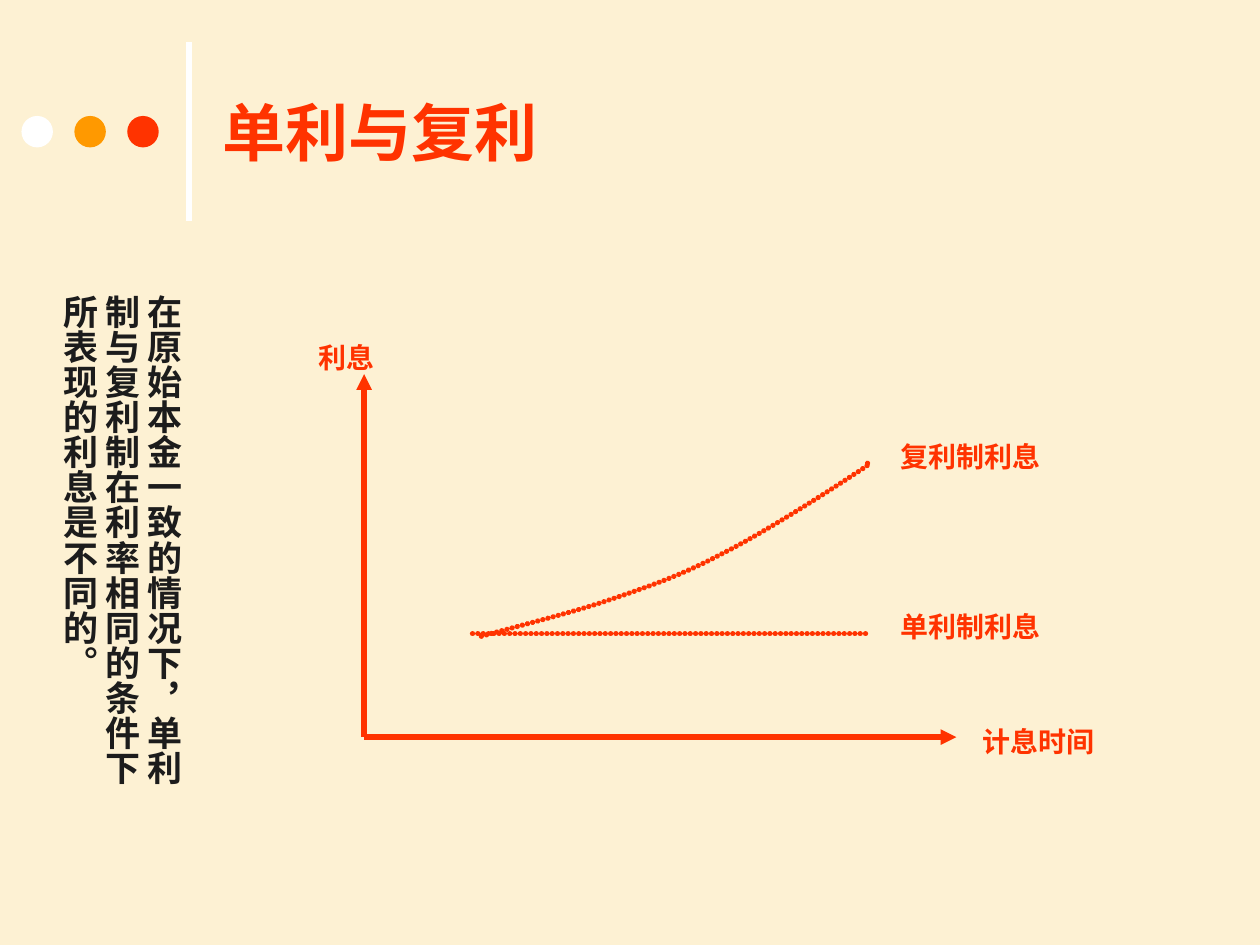
from dataclasses import dataclass

from lxml import etree
from pptx import Presentation
from pptx.dml.color import RGBColor
from pptx.enum.shapes import MSO_CONNECTOR, MSO_SHAPE
from pptx.enum.text import MSO_ANCHOR
from pptx.oxml.ns import qn
from pptx.util import Inches, Pt

STRAIGHT = MSO_CONNECTOR.STRAIGHT
OVAL = MSO_SHAPE.OVAL
MIDDLE = MSO_ANCHOR.MIDDLE
TOP = MSO_ANCHOR.TOP

Point = tuple[float, float]


@dataclass(frozen=True)
class Theme:
    background: RGBColor = RGBColor(0xFD, 0xF1, 0xD3)
    white: RGBColor = RGBColor(0xFF, 0xFF, 0xFF)
    orange: RGBColor = RGBColor(0xFF, 0x99, 0x00)
    red: RGBColor = RGBColor(0xFF, 0x33, 0x00)
    ink: RGBColor = RGBColor(0x1C, 0x1C, 0x1C)
    font: str = "Arial"
    title_size: int = 36
    body_size: int = 20
    label_size: int = 16
    line_width: int = 3


@dataclass(frozen=True)
class TextBlock:
    text: str
    left: float
    top: float
    width: float
    height: float
    size: int
    color: RGBColor
    wrap: bool = False
    vertical: bool = False
    anchor: MSO_ANCHOR = TOP


THEME = Theme()
ORIGIN = (2.89, 5.85)
AXIS_ENDS = ((7.59, 5.85), (2.89, 2.97))
SIMPLE_INTEREST = ((3.75, 5.03), (6.87, 5.03))
COMPOUND_START = (3.82, 5.05)
COMPOUND_CURVES = (
    ((4.18, 4.95), (4.55, 4.86), (4.87, 4.75)),
    ((5.19, 4.64), (5.42, 4.56), (5.74, 4.39)),
    ((6.06, 4.23), (6.59, 3.89), (6.77, 3.77)),
    ((6.96, 3.65), (6.9, 3.67), (6.85, 3.69)),
)
CURVE_STEPS = 16


def label(text: str, left: float, top: float, width: float) -> TextBlock:
    return TextBlock(text, left, top, width, 0.37, THEME.label_size, THEME.red)


TEXT_BLOCKS = (
    TextBlock("单利与复利", 1.67, 0.21, 7.67, 1.67, THEME.title_size, THEME.red,
              wrap=True, anchor=MIDDLE),
    label("计息时间", 7.7, 5.7, 1.09),
    label("复利制利息", 7.05, 3.44, 1.31),
    label("单利制利息", 7.05, 4.79, 1.31),
    label("利息", 2.43, 2.65, 0.64),
    TextBlock("在原始本金一致的情况下，单利制与复利制在利率相同的条件下所表现的利息是不同的。",
              0.32, 2.24, 1.2, 4.3, THEME.body_size, THEME.ink,
              wrap=True, vertical=True),
)


def add_line(slide, start: Point, end: Point, color: RGBColor):
    x1, y1, x2, y2 = (Inches(value) for value in (*start, *end))
    connector = slide.shapes.add_connector(STRAIGHT, x1, y1, x2, y2)
    connector.line.color.rgb = color
    connector.line.width = Pt(THEME.line_width)
    etree.SubElement(connector._element.spPr, qn("a:effectLst"))
    return connector


def add_arrowhead(connector) -> None:
    line = connector.line._get_or_add_ln()
    etree.SubElement(line, qn("a:tailEnd"), type="triangle")


def make_dotted(shape) -> None:
    """Draw the outline as round dots that almost touch."""
    line = shape.line._get_or_add_ln()
    line.set("cap", "rnd")
    dash = etree.Element(qn("a:custDash"))
    etree.SubElement(dash, qn("a:ds"), d="100000", sp="1000")
    line.find(qn("a:solidFill")).addnext(dash)


def add_dot(slide, left: float, color: RGBColor) -> None:
    dot = slide.shapes.add_shape(
        OVAL, Inches(left), Inches(0.92), Inches(0.25), Inches(0.25))
    dot.shadow.inherit = False
    dot.fill.solid()
    dot.fill.fore_color.rgb = color
    dot.line.fill.background()


def bezier_point(controls: tuple[Point, ...], t: float) -> Point:
    weights = ((1 - t) ** 3, 3 * t * (1 - t) ** 2, 3 * t ** 2 * (1 - t), t ** 3)
    x, y = (sum(weight * value for weight, value in zip(weights, axis))
            for axis in zip(*controls))
    return x, y


def add_compound_curve(slide) -> None:
    points = []
    start = COMPOUND_START
    for curve in COMPOUND_CURVES:
        controls = (start, *curve)
        points += [bezier_point(controls, step / CURVE_STEPS)
                   for step in range(1, CURVE_STEPS + 1)]
        start = curve[-1]
    builder = slide.shapes.build_freeform(
        *(Inches(value) for value in COMPOUND_START))
    builder.add_line_segments(
        [(Inches(x), Inches(y)) for x, y in points], close=False)
    shape = builder.convert_to_shape()
    shape.shadow.inherit = False
    shape.fill.background()
    shape.line.color.rgb = THEME.red
    shape.line.width = Pt(THEME.line_width)
    make_dotted(shape)


def add_text(slide, block: TextBlock) -> None:
    box = slide.shapes.add_textbox(Inches(block.left), Inches(block.top),
                                   Inches(block.width), Inches(block.height))
    frame = box.text_frame
    frame.word_wrap = block.wrap
    frame.vertical_anchor = block.anchor
    if block.vertical:
        frame._txBody.bodyPr.set("vert", "eaVert")
        frame.margin_left = frame.margin_right = Inches(0.05)
        frame.margin_top = frame.margin_bottom = Inches(0.1)
    frame.text = block.text
    font = frame.paragraphs[0].runs[0].font
    font.name = THEME.font
    font.size = Pt(block.size)
    font.bold = True
    font.color.rgb = block.color


def main() -> None:
    presentation = Presentation()
    presentation.slide_width = Inches(10)
    presentation.slide_height = Inches(7.5)
    slide = presentation.slides.add_slide(presentation.slide_layouts[6])
    slide.background.fill.solid()
    slide.background.fill.fore_color.rgb = THEME.background

    add_line(slide, (1.5, 1.75), (1.5, 0.33), THEME.white)
    for index, color in enumerate((THEME.white, THEME.orange, THEME.red)):
        add_dot(slide, 0.17 + 0.42 * index, color)

    for end in AXIS_ENDS:
        add_arrowhead(add_line(slide, ORIGIN, end, THEME.red))
    make_dotted(add_line(slide, *SIMPLE_INTEREST, THEME.red))
    add_compound_curve(slide)

    for block in TEXT_BLOCKS:
        add_text(slide, block)
    presentation.save("out.pptx")


if __name__ == "__main__":
    main()
